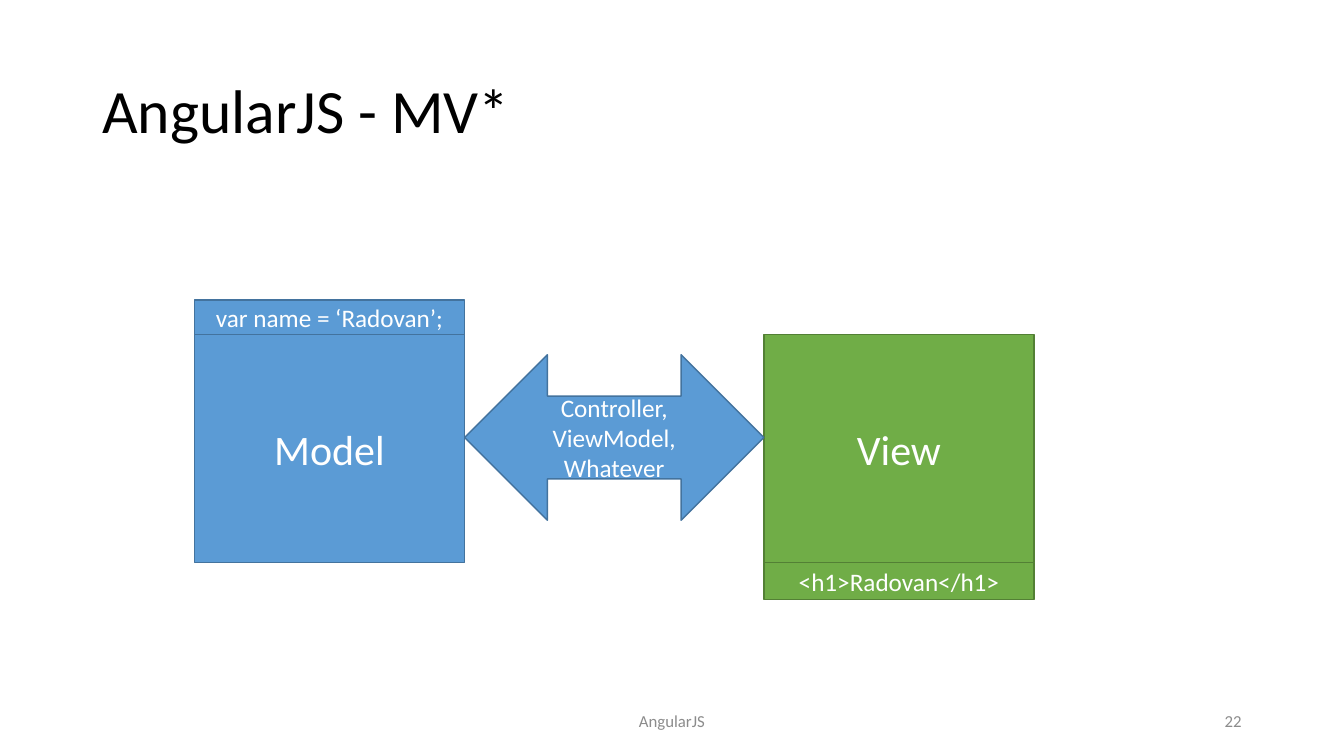
from pptx import Presentation
from pptx.dml.color import RGBColor
from pptx.enum.shapes import MSO_SHAPE
from pptx.enum.text import MSO_ANCHOR, PP_ALIGN
from pptx.util import Cm, Pt

# Content
TITLE = "AngularJS - MV*"
FOOTER = "AngularJS"
NUMBER = "22"
MODEL = ("Model", "var name = ‘Radovan’;")
VIEW = ("View", "<h1>Radovan</h1>")
LINK = "Controller, ViewModel, Whatever"

COLORS = {
    "black": "000000", "gray": "8C8C8C", "white": "FFFFFF",
    "blue": "5B9BD5", "navy": "43739E",
    "green": "70AD47", "moss": "538035",
}
BLUE, GREEN = ("blue", "navy"), ("green", "moss")

# Layout in centimetres
WIDTH, HEIGHT = 33.87, 19.05
LEFT, TOP = 4.9, 8.43
SIDE, TALL = 6.81, 5.74
GAP = 7.54
HEAD, FOOT = 0.87, 0.94
ARROW_TOP, ARROW_TALL = 8.94, 4.17
right = LEFT + SIDE + GAP


def color(name):
    return RGBColor.from_string(COLORS[name])


def write(shape, text, size, tint, align):
    frame = shape.text_frame
    frame.word_wrap = True
    frame.vertical_anchor = MSO_ANCHOR.MIDDLE
    para = frame.paragraphs[0]
    para.alignment = align
    run = para.add_run()
    run.text = text
    style = {"name": "Calibri", "size": Pt(size)}
    for key, value in style.items():
        setattr(run.font, key, value)
    run.font.color.rgb = color(tint)
    return para


def label(box, text, size, tint, align):
    shape = slide.shapes.add_textbox(*map(Cm, box))
    return write(shape, text, size, tint, align)


def block(kind, box, text, size, tints):
    shape = slide.shapes.add_shape(kind, *map(Cm, box))
    shape.shadow.inherit = False
    fill, edge = tints
    shape.fill.solid()
    shape.fill.fore_color.rgb = color(fill)
    shape.line.color.rgb = color(edge)
    shape.line.width = Pt(1)
    write(shape, text, size, "white", PP_ALIGN.CENTER)


deck = Presentation()
deck.slide_width, deck.slide_height = Cm(WIDTH), Cm(HEIGHT)
slide = deck.slides.add_slide(deck.slide_layouts[6])

# Title and footer
title = label((2.33, 1.01, 29.21, 3.68), TITLE, 44, "black", PP_ALIGN.LEFT)
title.line_spacing = 0.9
label((11.22, 17.66, 11.43, 1.01), FOOTER, 12, "gray", PP_ALIGN.CENTER)
label((23.92, 17.66, 7.62, 1.01), NUMBER, 12, "gray", PP_ALIGN.RIGHT)

# Model and view, each with its code strip
RECT = MSO_SHAPE.RECTANGLE
for (name, code), left, top, tall, tints in (
    (MODEL, LEFT, TOP - HEAD, HEAD, BLUE),
    (VIEW, right, TOP + TALL, FOOT, GREEN),
):
    block(RECT, (left, TOP, SIDE, TALL), name, 30, tints)
    block(RECT, (left, top, SIDE, tall), code, 18, tints)

# Arrow between them
block(MSO_SHAPE.LEFT_RIGHT_ARROW,
      (LEFT + SIDE, ARROW_TOP, GAP, ARROW_TALL), LINK, 18, BLUE)

deck.save("out.pptx")
